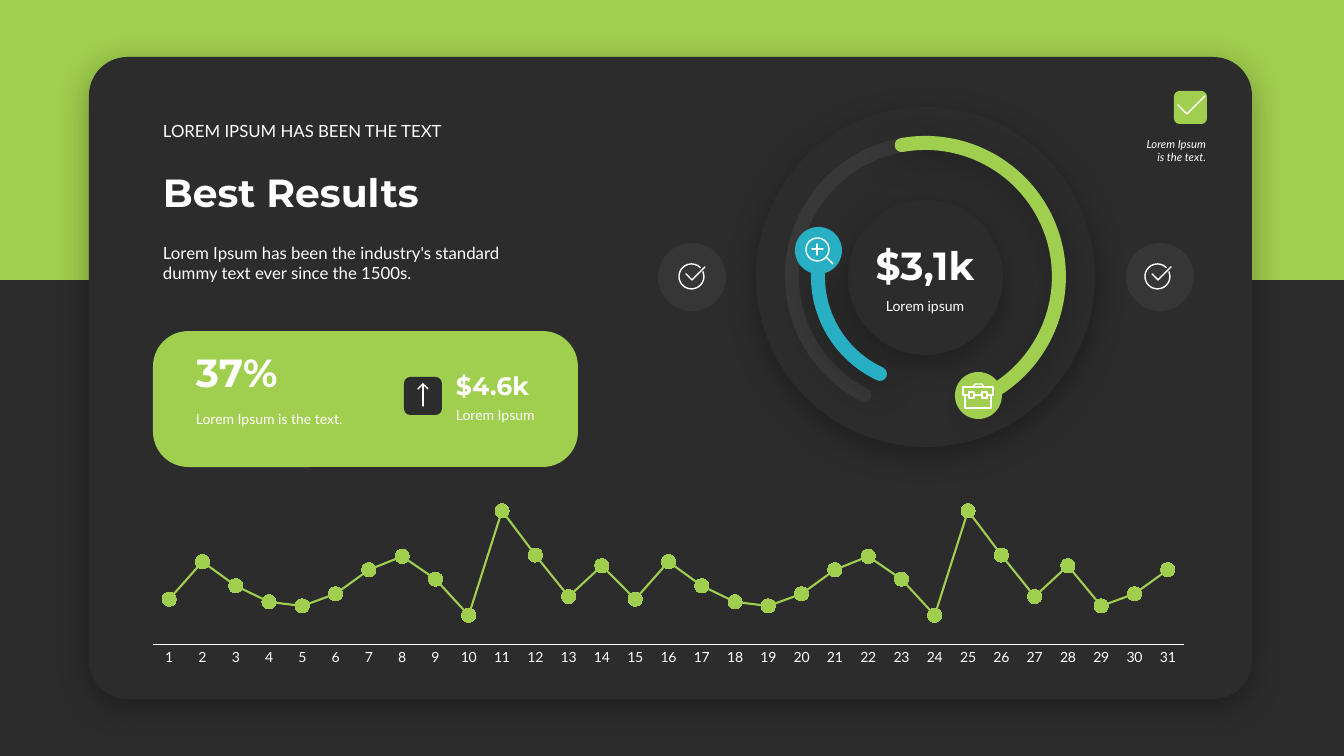
from pptx import Presentation
from pptx.chart.data import CategoryChartData
from pptx.dml.color import RGBColor
from pptx.enum.chart import XL_CHART_TYPE, XL_MARKER_STYLE, XL_TICK_MARK
from pptx.enum.shapes import MSO_SHAPE
from pptx.enum.text import MSO_ANCHOR, MSO_AUTO_SIZE, PP_ALIGN
from pptx.oxml import parse_xml
from pptx.oxml.ns import nsdecls, qn
from pptx.util import Pt

RECT, ROUND = MSO_SHAPE.RECTANGLE, MSO_SHAPE.ROUNDED_RECTANGLE
OVAL, ARC = MSO_SHAPE.OVAL, MSO_SHAPE.ARC
TOP, BOTTOM = MSO_ANCHOR.TOP, MSO_ANCHOR.BOTTOM
LEFT, CENTER, RIGHT = PP_ALIGN.LEFT, PP_ALIGN.CENTER, PP_ALIGN.RIGHT
PX = 914400 / 100.8
GREEN, BLUE, DARK, WHITE = "A0CE4E", "28AFC3", "2C2C2C", "FFFFFF"
BODY, HEAD = "Lato", "Montserrat"

DAILY = [34, 62, 44, 32, 29, 38, 56, 66, 49, 22, 100, 67, 36, 59, 34, 62,
         44, 32, 29, 38, 56, 66, 49, 22, 100, 67, 36, 59, 29, 38, 56]


def px(*values):
    return [round(v * PX) for v in values]


def rgb(color):
    return RGBColor.from_string(color)


def set_alpha(sp, percent):
    clr = next(sp._element.spPr.iter(qn("a:srgbClr")))
    clr.append(parse_xml(f'<a:alpha {nsdecls("a")} val="{percent * 1000}"/>'))


def style(sp, fill=None, line=None, width=1, alpha=None, shadow=False):
    if fill:
        sp.fill.solid()
        sp.fill.fore_color.rgb = rgb(fill)
    else:
        sp.fill.background()
    if line:
        sp.line.color.rgb = rgb(line)
        sp.line.width = Pt(width)
        sp._element.spPr.find(qn("a:ln")).set("cap", "rnd")
    else:
        sp.line.fill.background()
    if alpha:
        set_alpha(sp, alpha)
    sp.shadow.inherit = False
    if shadow:
        sp._element.spPr.find(qn("a:effectLst")).append(parse_xml(
            f'<a:outerShdw {nsdecls("a")} blurRad="{Pt(23)}" dist="{Pt(6)}" dir="5400000" '
            'algn="t" rotWithShape="0"><a:srgbClr val="000000"><a:alpha val="30000"/>'
            '</a:srgbClr></a:outerShdw>'))


def shape(s, kind, box, adj=None, **look):
    sp = s.shapes.add_shape(kind, *px(*box))
    if adj is not None:
        sp.adjustments[0] = adj
    style(sp, **look)


def arc(s, box, start, end, **look):
    """Draw an arc clockwise between two angles in degrees."""
    sp = s.shapes.add_shape(ARC, *px(*box))
    for i, angle in enumerate((start, end)):
        sp.adjustments[i] = angle * 0.6
    style(sp, **look)


def icon(s, *strokes):
    """Draw white open strokes, each a list of points, as one outline."""
    fb = s.shapes.build_freeform(*strokes[0][0], scale=PX)
    for i, points in enumerate(strokes):
        if i:
            fb.move_to(*points[0])
        fb.add_line_segments(points[1:], close=False)
    style(fb.convert_to_shape(), line=WHITE)


def write(sp, text, size, font=BODY, bold=False, italic=False, align=LEFT,
          anchor=TOP, inset=10, after=0):
    tf = sp.text_frame
    side, edge = px(inset, 5)
    frame = {"word_wrap": True, "auto_size": MSO_AUTO_SIZE.SHAPE_TO_FIT_TEXT,
             "vertical_anchor": anchor, "margin_left": side, "margin_right": side,
             "margin_top": edge, "margin_bottom": edge}
    for name, value in frame.items():
        setattr(tf, name, value)
    p = tf.paragraphs[0]
    p.alignment = align
    p.space_before, p.space_after = Pt(0), Pt(after)
    p.line_spacing = 1.0
    r = p.add_run()
    r.text = text
    for name, value in {"name": font, "size": Pt(size), "bold": bold, "italic": italic}.items():
        setattr(r.font, name, value)
    r.font.color.rgb = rgb(WHITE)


def label(s, box, text, size, **fmt):
    write(s.shapes.add_textbox(*px(*box)), text, size, **fmt)


def headline(s, box, text, size):
    sp = s.shapes.title
    s.shapes._spTree.append(sp._element)  # bring in front of the panel
    sp.left, sp.top, sp.width, sp.height = px(*box)
    write(sp, text, size, font=HEAD, bold=True, anchor=BOTTOM)


def gauge(s):
    shape(s, OVAL, (756, 107, 339, 340), fill=DARK, shadow=True)
    ring = (792, 143, 267, 267)
    arc(s, ring, 117.12, 66.08, line=WHITE, width=10, alpha=5)
    shape(s, OVAL, (848, 200, 155, 155), fill=DARK, shadow=True)
    arc(s, ring, 259.76, 65.68, line=GREEN, width=10, shadow=True)
    arc(s, (818, 169, 215, 215), 115.04, 181.31, line=BLUE, width=10, shadow=True)
    label(s, (843, 293, 164, 27), "Lorem ipsum", 10, align=CENTER, after=6)
    label(s, (843, 236, 164, 57), "$3,1k", 28, font=HEAD, bold=True,
          align=CENTER, anchor=BOTTOM, inset=8, after=6)

    # Briefcase marker
    shape(s, OVAL, (955, 372, 47, 47), fill=GREEN)
    clasps = [[(x, 392), (x + 5, 392), (x + 5, 398), (x, 398), (x, 392)] for x in (969, 982)]
    icon(s, [(969, 395), (963, 395), (963, 387), (993, 387), (993, 395), (987, 395)],
         [(965, 395), (965, 408), (991, 408), (991, 395)],
         [(974, 395), (982, 395)],
         [(973, 387), (975, 384), (982, 384), (984, 387)], *clasps)

    # Magnifier marker
    shape(s, OVAL, (795, 227, 47, 47), fill=BLUE)
    shape(s, OVAL, (806, 238, 23, 23), line=WHITE)
    icon(s, [(812, 249), (823, 249)], [(817, 244), (817, 255)], [(826, 257), (833, 264)])


def side_check(s, left):
    shape(s, OVAL, (left, 243, 68, 68), fill=WHITE, alpha=5)


def check_ring(s, left):
    arc(s, (left, 264, 25, 25), 338, 315, line=WHITE)
    icon(s, [(left + 7, 274), (left + 13, 280), (left + 26, 267)])


def result_card(s):
    shape(s, ROUND, (153, 331, 425, 136), adj=0.26, fill=GREEN)
    label(s, (186, 406, 185, 27), "Lorem Ipsum is the text.", 10)
    label(s, (186, 343, 190, 57), "37%", 28, font=HEAD, bold=True, anchor=BOTTOM)
    shape(s, ROUND, (404, 377, 38, 38), fill=DARK)
    icon(s, [(423, 406), (423, 384)], [(418, 389), (423, 384), (428, 389)])
    label(s, (456, 402, 105, 27), "Lorem Ipsum", 10, inset=0)
    label(s, (456, 366, 105, 40), "$4.6k", 18, font=HEAD, bold=True, anchor=BOTTOM, inset=0)


def daily_chart(s):
    data = CategoryChartData()
    data.categories = [str(day) for day in range(1, len(DAILY) + 1)]
    data.add_series("Series 1", DAILY)
    chart = s.shapes.add_chart(XL_CHART_TYPE.LINE_MARKERS_STACKED,
                               *px(131, 484, 1075, 185), data).chart
    chart.has_legend = chart.has_title = False
    chart.font.name, chart.font.size = BODY, Pt(10)
    chart.font.color.rgb = rgb(WHITE)

    # Axes
    days, scale = chart.category_axis, chart.value_axis
    days.major_tick_mark = days.minor_tick_mark = XL_TICK_MARK.NONE
    days.format.line.color.rgb = rgb(WHITE)
    days.format.line.width = Pt(0.75)
    scale.visible = scale.has_major_gridlines = False
    scale.minimum_scale, scale.maximum_scale = 0, 120

    # Line and markers
    plot = chart.plots[0]
    plot.vary_by_categories = False
    line = plot.series[0]
    line.smooth = False
    line.format.line.color.rgb = rgb(GREEN)
    line.format.line.width = Pt(1.5)
    marker = line.marker
    marker.style, marker.size = XL_MARKER_STYLE.CIRCLE, 10
    marker.format.fill.solid()
    marker.format.fill.fore_color.rgb = rgb(GREEN)
    marker.format.line.color.rgb = rgb(GREEN)

    # Inner plot area as fractions of the chart
    area = chart._chartSpace.chart.plotArea
    for old in area.findall(qn("c:layout")):
        area.remove(old)
    modes = '<c:xMode val="edge"/><c:yMode val="edge"/>'
    sizes = "".join(f'<c:{k} val="{v}"/>' for k, v in
                    {"x": 0.02, "y": 0, "w": 0.96, "h": 0.87}.items())
    area.insert(0, parse_xml(
        f'<c:layout {nsdecls("c")}><c:manualLayout><c:layoutTarget val="inner"/>'
        f'{modes}{sizes}</c:manualLayout></c:layout>'))


def main():
    prs = Presentation()
    prs.slide_width, prs.slide_height = px(1344, 756)
    s = prs.slides.add_slide(prs.slide_layouts[5])
    s.background.fill.solid()
    s.background.fill.fore_color.rgb = rgb(DARK)

    # Backdrop
    shape(s, RECT, (0, 0, 1344, 280), fill=GREEN)
    shape(s, ROUND, (89, 57, 1163, 642), adj=0.06, fill=DARK, shadow=True)

    gauge(s)

    # Heading
    label(s, (153, 238, 371, 50), "Lorem Ipsum has been the industry's standard "
          "dummy text ever since the 1500s.", 12)
    headline(s, (153, 163, 371, 57), "Best Results", 28)
    label(s, (153, 116, 371, 30), "LOREM IPSUM HAS BEEN THE TEXT", 12, anchor=BOTTOM)

    # Check buttons either side of the gauge
    for disc, ring in ((658, 679), (1126, 1145)):
        side_check(s, disc)
        check_ring(s, ring)

    # Corner tag
    shape(s, ROUND, (1174, 91, 33, 33), fill=GREEN)
    label(s, (1133, 132, 83, 37), "Lorem Ipsum is the text.", 8, italic=True, align=RIGHT)
    icon(s, [(1178, 105), (1187, 114), (1205, 96)])

    result_card(s)
    daily_chart(s)
    prs.save("out.pptx")


if __name__ == "__main__":
    main()
